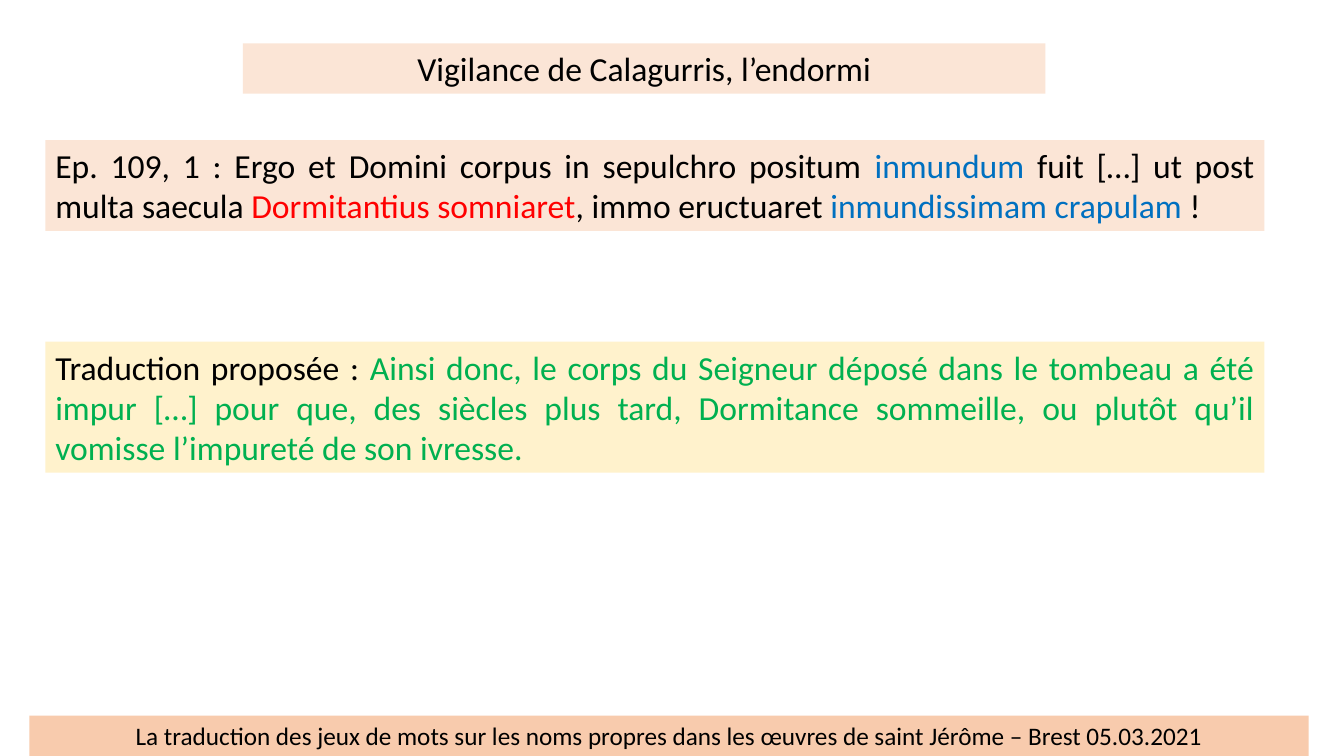
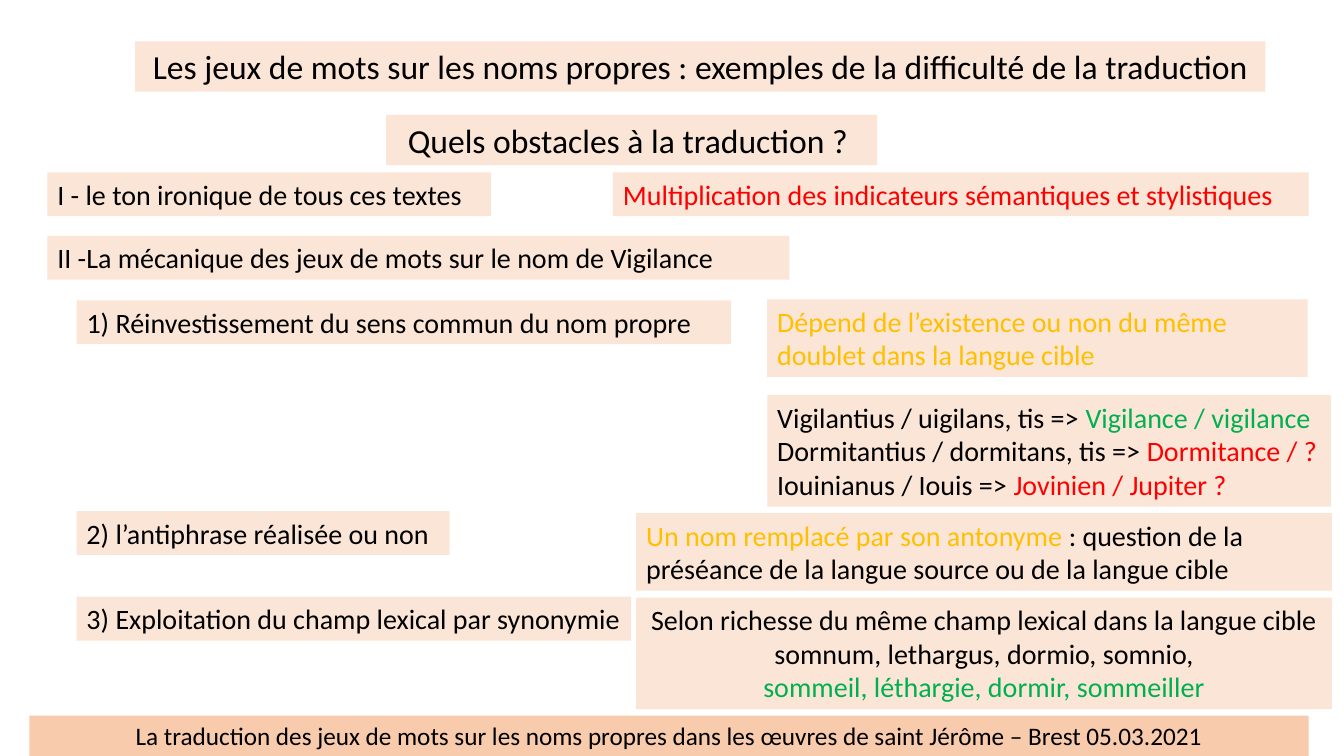
from pptx import Presentation
from pptx.dml.color import RGBColor
from pptx.enum.text import MSO_ANCHOR, MSO_AUTO_SIZE, PP_ALIGN
from pptx.util import Inches, Pt

BLACK = RGBColor(0x00, 0x00, 0x00)
RED = RGBColor(0xFF, 0x00, 0x00)
BLUE = RGBColor(0x00, 0x70, 0xC0)
GREEN = RGBColor(0x00, 0xB0, 0x50)
GOLD = RGBColor(0xFF, 0xC0, 0x00)
PEACH = RGBColor(0xFB, 0xE5, 0xD6)
CREAM = RGBColor(0xFF, 0xF2, 0xCC)
SALMON = RGBColor(0xF8, 0xCB, 0xAD)

FONT = "Calibri"
LEFT, CENTER, JUSTIFY = PP_ALIGN.LEFT, PP_ALIGN.CENTER, PP_ALIGN.JUSTIFY
LINE_HEIGHT = {18: 0.3, 20: 0.335, 24: 0.4}
PADDING = 0.1

FOOTER = "La traduction des jeux de mots sur les noms propres dans les œuvres de saint Jérôme – Brest 05.03.2021"

QUOTE = [[
    ("Ep. 109, 1 : Ergo et Domini corpus in sepulchro positum ", BLACK),
    ("inmundum", BLUE),
    (" fuit […] ut post multa saecula ", BLACK),
    ("Dormitantius somniaret", RED),
    (", immo eructuaret ", BLACK),
    ("inmundissimam crapulam ", BLUE),
    ("!", BLACK),
]]
TRANSLATION = [[
    ("Traduction proposée : ", BLACK),
    ("Ainsi donc, le corps du Seigneur déposé dans le tombeau a été impur […] "
     "pour que, des siècles plus tard, Dormitance sommeille, ou plutôt qu’il "
     "vomisse l’impureté de son ivresse.", GREEN),
]]
DOUBLETS = [
    [("Vigilantius / uigilans, tis => ", BLACK), ("Vigilance / vigilance", GREEN)],
    [("Dormitantius / dormitans, tis => ", BLACK), ("Dormitance / ?", RED)],
    [("Iouinianus / Iouis => ", BLACK), ("Jovinien / Jupiter ?", RED)],
]
ANTONYM = [[
    ("Un nom remplacé par son antonyme ", GOLD),
    (": question de la préséance de la langue source ou de la langue cible", BLACK),
]]
SYNONYMS = [
    [("Selon richesse du même champ lexical dans la langue cible", BLACK)],
    [("somnum, lethargus, dormio, somnio,", BLACK)],
    [("sommeil, léthargie, dormir, sommeiller", GREEN)],
]


def plain(text, color=BLACK):
    return [[(text, color)]]


MARGIN, INDENT, ANSWER, DOUBLET = 0.47, 0.76, 6.31, 7.61

# left, top, width, lines, size, alignment, fill, paragraphs
SLIDES = [
    {
        "title": ("Vigilance de Calagurris, l’endormi", 2.41, 0.43, 7.96),
        "boxes": [
            (0.45, 1.39, 12.09, 2, 24, JUSTIFY, PEACH, QUOTE),
            (0.45, 3.39, 12.09, 3, 24, JUSTIFY, CREAM, TRANSLATION),
        ],
    },
    {
        "title": ("Les jeux de mots sur les noms propres : exemples de la difficulté de la traduction",
                  1.34, 0.41, 11.21),
        "boxes": [
            (3.83, 1.14, 4.87, 1, 24, CENTER, PEACH, plain("Quels obstacles à la traduction ? ")),
            (MARGIN, 1.71, 4.4, 1, 20, LEFT, PEACH, plain("I - le ton ironique de tous ces textes")),
            (6.08, 1.71, 6.9, 1, 20, LEFT, PEACH,
             plain("Multiplication des indicateurs sémantiques et stylistiques", RED)),
            (MARGIN, 2.34, 7.36, 1, 20, LEFT, PEACH,
             plain("II -La mécanique des jeux de mots sur le nom de Vigilance")),
            (INDENT, 2.98, 6.49, 1, 20, LEFT, PEACH,
             plain("1) Réinvestissement du sens commun du nom propre")),
            (DOUBLET, 2.97, 5.36, 2, 20, LEFT, PEACH,
             plain("Dépend de l’existence ou non du même doublet dans la langue cible", GOLD)),
            (DOUBLET, 3.92, 5.59, 3, 20, LEFT, PEACH, DOUBLETS),
            (INDENT, 5.07, 3.7, 1, 20, LEFT, PEACH, plain("2) l’antiphrase réalisée ou non")),
            (ANSWER, 5.09, 6.9, 2, 20, LEFT, PEACH, ANTONYM),
            (INDENT, 5.92, 5.5, 1, 20, LEFT, PEACH,
             plain("3) Exploitation du champ lexical par synonymie")),
            (ANSWER, 5.93, 6.9, 3, 20, CENTER, PEACH, SYNONYMS),
        ],
    },
]


def format_box(sp, left, top, width, lines, size, align, fill, paragraphs):
    sp.left, sp.top, sp.width = Inches(left), Inches(top), Inches(width)
    sp.height = Inches(lines * LINE_HEIGHT[size] + PADDING)
    sp.fill.solid()
    sp.fill.fore_color.rgb = fill
    tf = sp.text_frame
    tf.word_wrap = True
    tf.auto_size = MSO_AUTO_SIZE.NONE
    tf.vertical_anchor = MSO_ANCHOR.TOP
    for i, runs in enumerate(paragraphs):
        p = tf.paragraphs[0] if i == 0 else tf.add_paragraph()
        p.alignment = align
        for text, color in runs:
            r = p.add_run()
            r.text = text
            r.font.name = FONT
            r.font.size = Pt(size)
            r.font.color.rgb = color


def add_box(slide, *box):
    sp = slide.shapes.add_textbox(0, 0, Inches(1), Inches(1))
    format_box(sp, *box)


def add_slide(prs, title, boxes):
    slide = prs.slides.add_slide(prs.slide_layouts[5])
    text, left, top, width = title
    format_box(slide.shapes.title, left, top, width, 1, 24, CENTER, PEACH, plain(text))
    add_box(slide, 0.29, 7.1, 12.69, 1, 18, CENTER, SALMON, plain(FOOTER))
    for box in boxes:
        add_box(slide, *box)


def main():
    prs = Presentation()
    prs.slide_width, prs.slide_height = Inches(13.33), Inches(7.5)
    for content in SLIDES:
        add_slide(prs, **content)
    prs.save("out.pptx")


if __name__ == "__main__":
    main()
